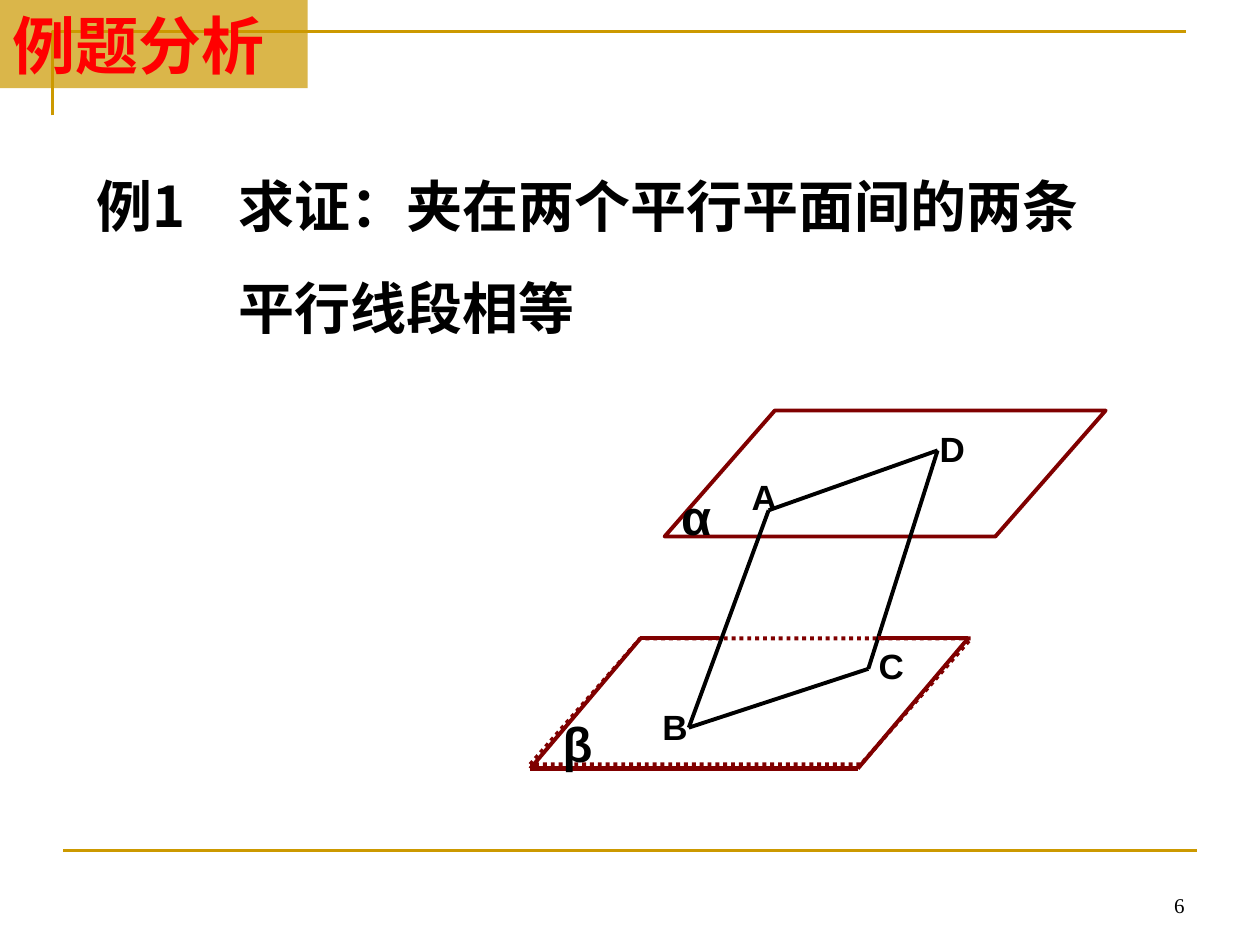
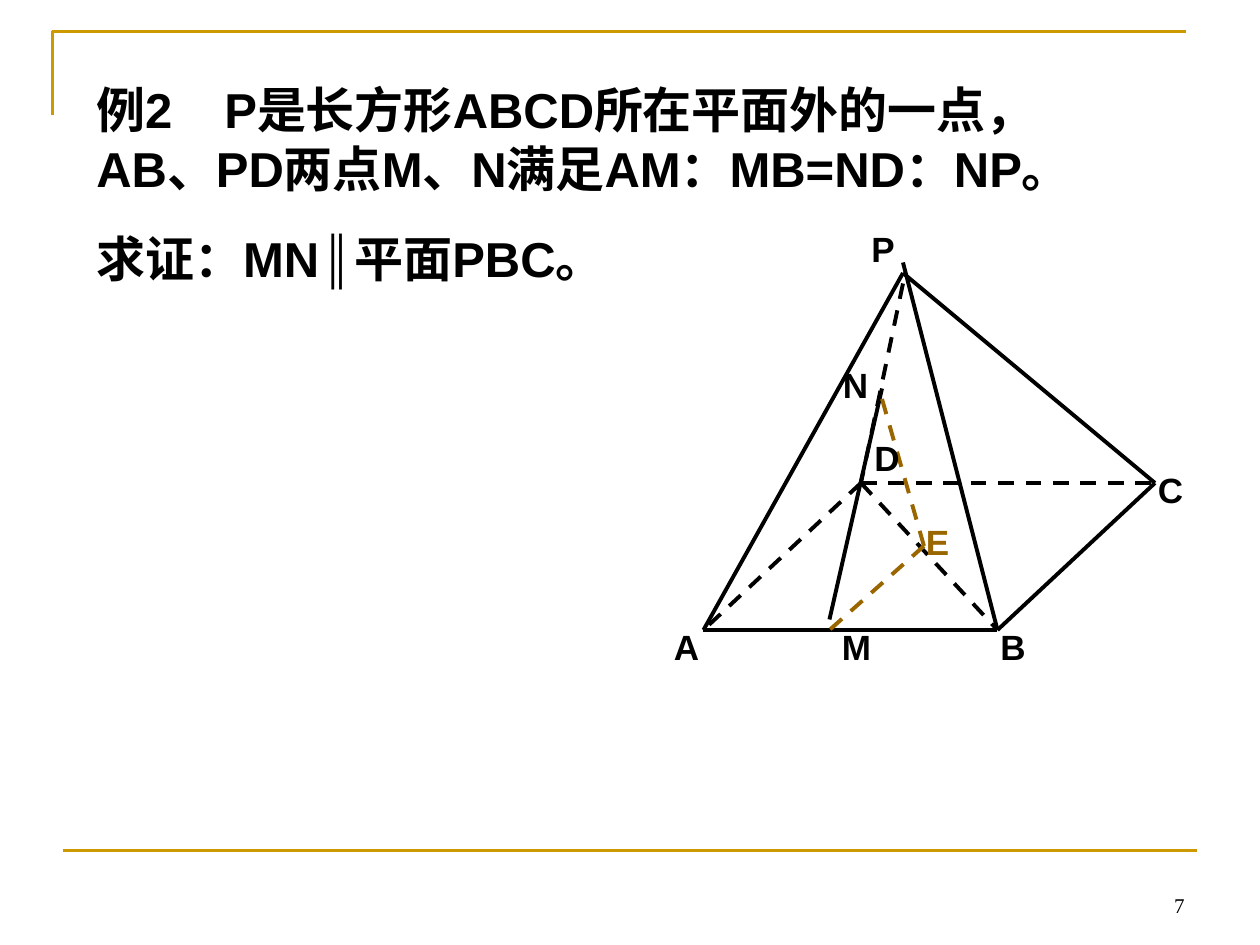
from dataclasses import dataclass

from lxml import etree
from pptx import Presentation
from pptx.dml.color import RGBColor
from pptx.enum.dml import MSO_LINE_DASH_STYLE as Dash
from pptx.enum.shapes import MSO_CONNECTOR, MSO_SHAPE
from pptx.enum.text import MSO_ANCHOR, PP_ALIGN
from pptx.oxml.ns import qn
from pptx.util import Inches, Pt

COLUMNS, ROWS = 120, 90
CELL = Inches(10) // COLUMNS


@dataclass(frozen=True)
class Theme:
    gold: str = "CC9900"
    red: str = "FF0000"
    maroon: str = "800000"
    ink: str = "000000"
    brown: str = "996600"
    latin: str = "Arial"
    chinese: str = "Noto Sans CJK SC"
    numeral: str = "Times New Roman"
    banner: int = 36
    statement: int = 32
    problem: int = 28
    greek: int = 28
    vertex: int = 20
    page: int = 12
    rule: float = 1.5
    edge: float = 2.25
    heavy: float = 3


THEME = Theme()


def cells(count):
    return round(count * CELL)


class Box:
    """A region of a slide; its parts are placed in grid cells from its corner."""

    def __init__(self, slide, left, top):
        self.shapes = slide.shapes
        self.left, self.top = left, top

    def spot(self, x, y):
        return cells(self.left + x), cells(self.top + y)

    def line(self, start, end, color=THEME.ink, width=THEME.edge, dash=None):
        edge = self.shapes.add_connector(
            MSO_CONNECTOR.STRAIGHT, *self.spot(*start), *self.spot(*end))
        style_line(edge.line, color, width, dash)
        etree.SubElement(edge._element.spPr, qn("a:effectLst"))

    def shape(self, kind, x, y, width, height):
        outline = self.shapes.add_shape(kind, *self.spot(x, y), cells(width), cells(height))
        outline.shadow.inherit = False
        return outline

    def text(self, x, y, width, height, lines, size, **style):
        area = self.shapes.add_textbox(*self.spot(x, y), cells(width), cells(height))
        write(area.text_frame, lines, size, **style)
        return area.text_frame

    def label(self, x, y, letter, size=THEME.vertex, color=THEME.ink):
        side = size * 0.26
        self.text(x, y, side, side, [letter], size, color=color)


def style_line(line, color, width, dash=None):
    line.color.rgb = RGBColor.from_string(color)
    line.width = Pt(width)
    if dash is not None:
        line.dash_style = dash


def write(frame, lines, size, color=THEME.ink, font=THEME.latin, bold=True,
          align=PP_ALIGN.LEFT, gap=0):
    frame.word_wrap = True
    for index, line in enumerate(lines):
        paragraph = frame.add_paragraph() if index else frame.paragraphs[0]
        paragraph.text = line
        paragraph.alignment = align
        if index and gap:
            paragraph.space_before = Pt(gap)
        for run in paragraph.runs:
            run.font.size, run.font.bold, run.font.name = Pt(size), bold, font
            run.font.color.rgb = RGBColor.from_string(color)
            east_asian = etree.SubElement(run._r.rPr, qn("a:ea"))
            east_asian.set("typeface", THEME.chinese)


def indent(paragraph, margin, first=0):
    properties = paragraph._p.get_or_add_pPr()
    properties.set("marL", str(cells(margin)))
    properties.set("indent", str(cells(first)))


def add_frame(slide, number):
    """The gold rules and the page number that every slide carries."""
    page = Box(slide, 0, 0)
    builder = slide.shapes.build_freeform(5, 11, scale=CELL)
    builder.add_line_segments([(5, 3), (113, 3)], close=False)
    corner = builder.convert_to_shape()
    corner.fill.background()
    corner.shadow.inherit = False
    style_line(corner.line, THEME.gold, THEME.rule)
    page.line((6, 81), (COLUMNS - 6, 81), THEME.gold, THEME.rule)
    footer = page.text(86, 82, 28, 6, [str(number)], THEME.page,
                       font=THEME.numeral, bold=False, align=PP_ALIGN.RIGHT)
    footer.vertical_anchor = MSO_ANCHOR.BOTTOM


def add_banner(box, title):
    banner = box.shape(MSO_SHAPE.RECTANGLE, 0, 0, 29.3, 8.4)
    banner.fill.solid()
    banner.fill.fore_color.rgb = RGBColor.from_string(THEME.gold)
    color = banner.fill._xPr.find(".//" + qn("a:srgbClr"))
    etree.SubElement(color, qn("a:alpha")).set("val", "71000")
    banner.line.fill.background()
    banner.text_frame.vertical_anchor = MSO_ANCHOR.TOP
    write(banner.text_frame, [title], THEME.banner, color=THEME.red)


def add_statement(box):
    frame = box.text(0, 0, 101.2, 17.4,
                     ["例1\t求证：夹在两个平行平面间的两条", "平行线段相等"],
                     THEME.statement, font=THEME.chinese, gap=20)
    hang = 13.5
    for paragraph, first in zip(frame.paragraphs, (-hang, 0)):
        indent(paragraph, hang, first)


def add_problem(box):
    frame = box.text(0, 0, 103, 21,
                     ["例2\tP是长方形ABCD所在平面外的一点，AB、PD两点M、N满足AM：MB=ND：NP。",
                      "求证：MN∥平面PBC。"],
                     THEME.problem, gap=17.5)
    tabs = etree.SubElement(frame.paragraphs[0]._p.get_or_add_pPr(), qn("a:tabLst"))
    etree.SubElement(tabs, qn("a:tab"), pos=str(cells(12.2)), algn="l")


def add_parallel_planes(box):
    width, height, slant = 42, 12, 10.5
    alpha, beta = (12.8, 0), (0, 21.7)
    for corner, dash in ((beta, Dash.ROUND_DOT), (alpha, None)):
        plane = box.shape(MSO_SHAPE.PARALLELOGRAM, *corner, width, height)
        plane.adjustments[0] = slant / height
        plane.fill.background()
        style_line(plane.line, THEME.maroon, THEME.edge, dash)

    a, b, c, d = (22.7, 9.5), (15.1, 30.2), (32.2, 24.6), (38.8, 3.8)
    for start, end in ((a, d), (b, a), (b, c), (d, c)):
        box.line(start, end)

    back, front = beta[1], 34.1
    back_left, back_right = (slant, back), (41.7, back)
    front_left, front_right = (0, front), (31.2, front)
    for start, end in ((front_right, back_right), (front_left, back_left),
                       (back_left, (18, back)), ((33.1, back), back_right)):
        box.line(start, end, THEME.maroon)
    box.line(front_left, front_right, THEME.maroon, THEME.heavy)

    box.label(13.2, 6.6, "α", THEME.greek)
    box.label(1.9, 28.3, "β", THEME.greek)
    for letter, x, y in (("A", 19.9, 5.6), ("B", 11.4, 27.5),
                         ("C", 32, 21.7), ("D", 37.8, 1)):
        box.label(x, y, letter)


def add_pyramid(box):
    a, b, c, d, p = (4, 39), (32, 39), (47, 25), (19, 25), (23, 5)
    m, n, e = (16, 39), (21, 17), (25, 31)
    for start, end in ((a, b), (c, b), (p, a), ((23, 4), b), (p, c), ((21, 16), (16, 38))):
        box.line(start, end)
    for start, end in ((d, a), (d, (48, 25)), ((23, 6), d), (d, b)):
        box.line(start, end, dash=Dash.DASH)
    for start, end in ((e, m), (n, e)):
        box.line(start, end, THEME.brown, dash=Dash.DASH)

    for letter, x, y in (("P", 18.8, 0.1), ("N", 16.1, 13), ("M", 16, 38),
                         ("D", 19.1, 20), ("C", 46.1, 23), ("B", 31.1, 38), ("A", 0, 38)):
        box.label(x, y, letter)
    box.label(24, 28, "E", color=THEME.brown)


def build_planes_example(slide):
    add_frame(slide, 6)
    add_banner(Box(slide, 0, 0), "例题分析")
    add_statement(Box(slide, 8, 15.7))
    add_parallel_planes(Box(slide, 50.5, 39.1))


def build_pyramid_example(slide):
    add_frame(slide, 7)
    add_problem(Box(slide, 8, 7))
    add_pyramid(Box(slide, 63, 21))


def main():
    deck = Presentation()
    deck.slide_width, deck.slide_height = cells(COLUMNS), cells(ROWS)
    blank = deck.slide_layouts[6]
    for build in (build_planes_example, build_pyramid_example):
        build(deck.slides.add_slide(blank))
    deck.save("out.pptx")


if __name__ == "__main__":
    main()
